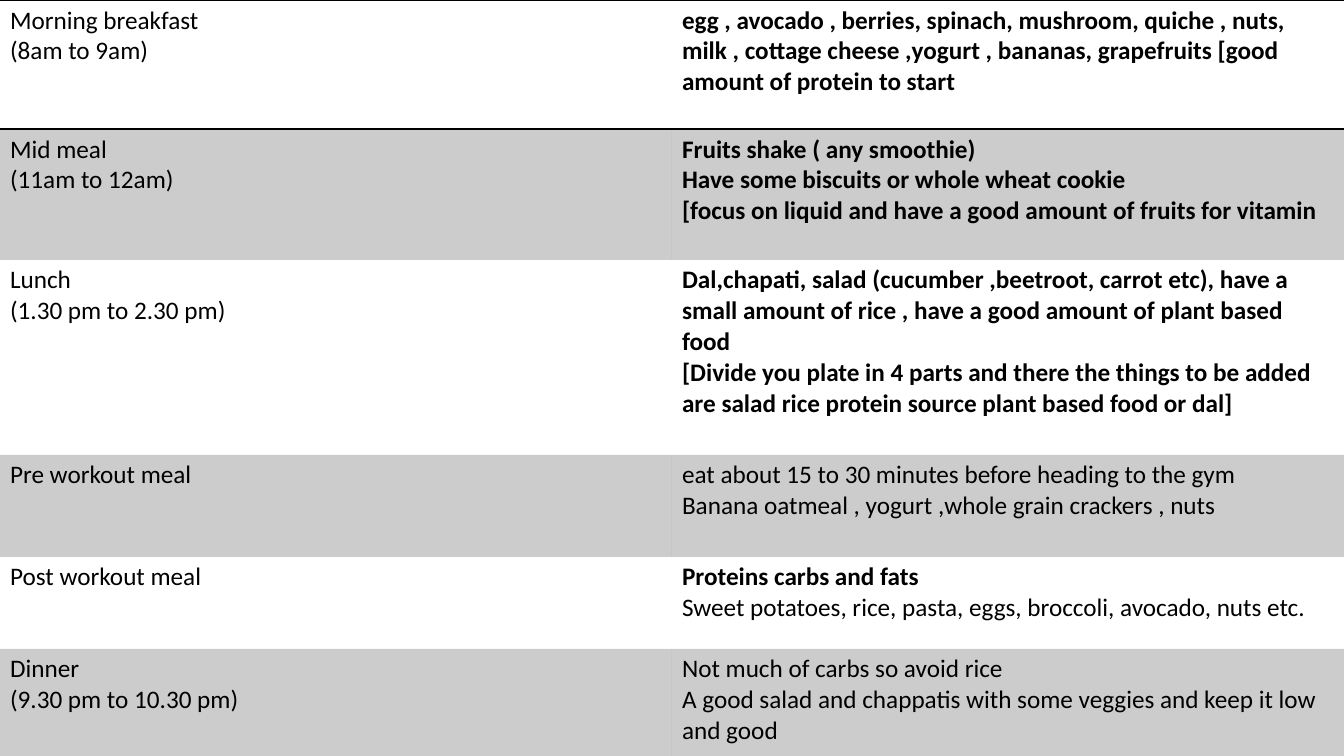
"""Build a one-slide daily meal plan table."""
from lxml import etree
from pptx import Presentation
from pptx.dml.color import RGBColor
from pptx.oxml.ns import qn
from pptx.util import Emu, Pt

WIDE, HIGH = 1344, 756
SCALE = 12192000 / WIDE
FONT, SIZE = "Calibri", 18
COLORS = {"ink": "000000", "band": "000000", "rule": "000000"}
BAND_ALPHA = 20
PLAIN_STYLE = "{2D5ABB26-0587-4C30-8999-92F81FD0307C}"

# (height, meal lines, [(food line, bold)], ruled sides)
MEALS = [
    (129, ["Morning breakfast", "(8am to 9am)"],
     [("egg , avocado , berries, spinach, mushroom, quiche , nuts, milk , "
       "cottage cheese ,yogurt , bananas, grapefruits [good amount of "
       "protein to start", True)], "TB"),
    (131, ["Mid meal", "(11am to 12am)"],
     [("Fruits shake ( any smoothie)", True),
      ("Have some biscuits or whole wheat cookie", True),
      ("[focus on liquid and have a good amount of fruits for vitamin", True)],
     ""),
    (195, ["Lunch", "(1.30 pm to 2.30 pm)"],
     [("Dal,chapati, salad (cucumber ,beetroot, carrot etc), have a small "
       "amount of rice , have a good amount of plant based food", True),
      ("[Divide you plate in 4 parts and there the things to be added are "
       "salad rice protein source plant based food or dal]", True)], ""),
    (102, ["Pre workout meal"],
     [("eat about 15 to 30 minutes before heading to the gym", False),
      ("Banana oatmeal , yogurt ,whole grain crackers , nuts", False)], ""),
    (92, ["Post workout meal"],
     [("Proteins carbs and fats", True),
      ("Sweet potatoes, rice, pasta, eggs, broccoli, avocado, nuts etc.",
       False)], ""),
    (131, ["Dinner", "(9.30 pm to 10.30 pm)"],
     [("Not much of carbs so avoid rice", False),
      ("A good salad and chappatis with some veggies and keep it low and good",
       False)], "B"),
]


def px(n):
    return Emu(round(n * SCALE))


def rule(cell, side):
    props = cell._tc.get_or_add_tcPr()
    line = etree.SubElement(props, qn(f"a:ln{side}"), w=str(Pt(1)))
    fill = etree.SubElement(line, qn("a:solidFill"))
    etree.SubElement(fill, qn("a:srgbClr"), val=COLORS["rule"])


def shade(cell, band):
    if not band:
        cell.fill.background()
        return
    cell.fill.solid()
    cell.fill.fore_color.rgb = RGBColor.from_string(COLORS["band"])
    color = cell._tc.tcPr.find(qn("a:solidFill")).find(qn("a:srgbClr"))
    etree.SubElement(color, qn("a:alpha"), val=str(BAND_ALPHA * 1000))


def write(cell, lines):
    frame = cell.text_frame
    frame.text = "\n".join(text for text, _ in lines)
    for par, (_, bold) in zip(frame.paragraphs, lines):
        font = par.font
        font.name, font.size, font.bold = FONT, Pt(SIZE), bold
        font.color.rgb = RGBColor.from_string(COLORS["ink"])


def main():
    deck = Presentation()
    deck.slide_width, deck.slide_height = px(WIDE), px(HIGH)
    slide = deck.slides.add_slide(deck.slide_layouts[6])
    total = sum(meal[0] for meal in MEALS)
    table = slide.shapes.add_table(
        len(MEALS), 2, 0, 0, px(WIDE), px(total)).table
    table.first_row = table.horz_banding = False
    table._tbl.tblPr.find(qn("a:tableStyleId")).text = PLAIN_STYLE
    for col in table.columns:
        col.width = px(WIDE // 2)
    for i, (tall, meal, food, sides) in enumerate(MEALS):
        table.rows[i].height = px(tall)
        for j, lines in enumerate(([(text, False) for text in meal], food)):
            cell = table.cell(i, j)
            write(cell, lines)
            for side in sides:
                rule(cell, side)
            shade(cell, i % 2 == 1)
    deck.save("out.pptx")


if __name__ == "__main__":
    main()
